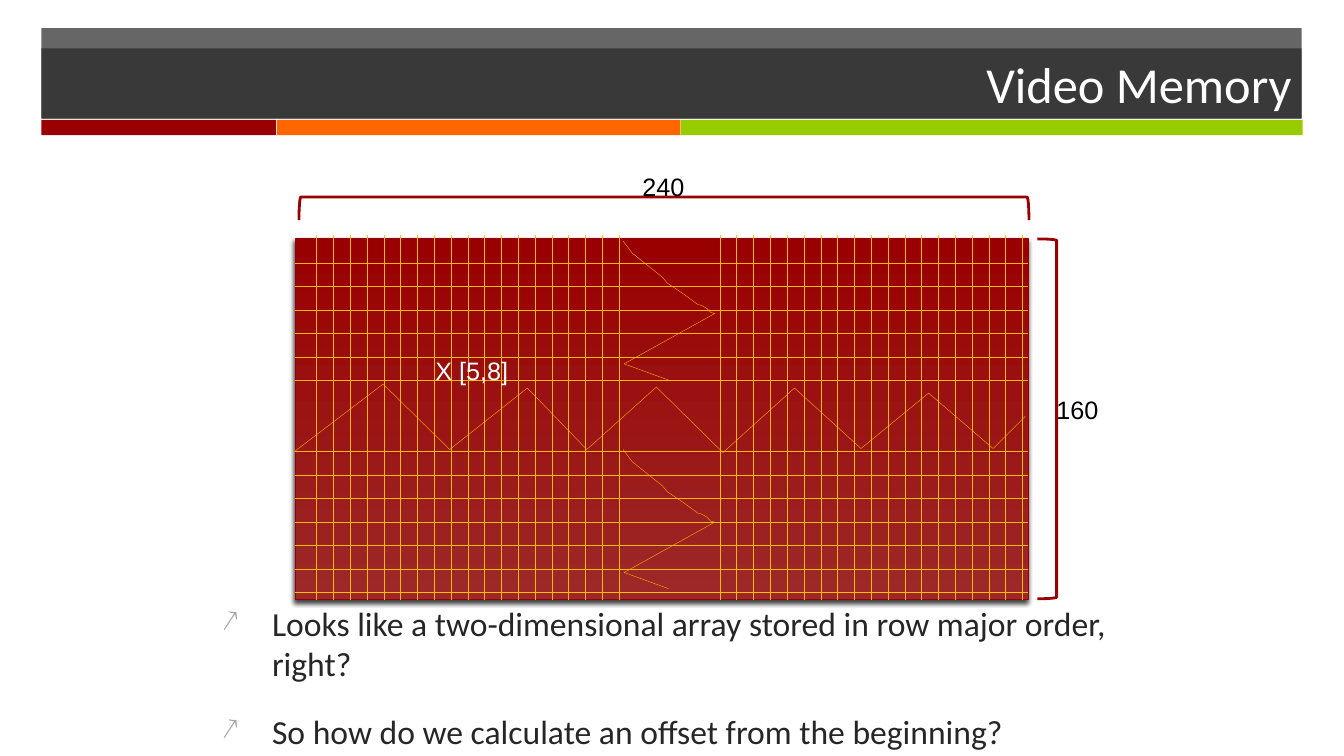
from pptx import Presentation
from pptx.dml.color import RGBColor
from pptx.enum.shapes import MSO_CONNECTOR, MSO_SHAPE
from pptx.enum.text import MSO_ANCHOR, MSO_AUTO_SIZE, PP_ALIGN
from pptx.oxml.ns import qn
from pptx.util import Pt
from lxml import etree

RECT, BRACKET = MSO_SHAPE.RECTANGLE, MSO_SHAPE.LEFT_BRACKET
STRAIGHT = MSO_CONNECTOR.STRAIGHT
LEFT, CENTER, RIGHT = PP_ALIGN.LEFT, PP_ALIGN.CENTER, PP_ALIGN.RIGHT
MIDDLE, TOP = MSO_ANCHOR.MIDDLE, MSO_ANCHOR.TOP
GROW = MSO_AUTO_SIZE.SHAPE_TO_FIT_TEXT

PX = 9144
C = {
    "dark": "262626", "red": "990000", "orange": "FF6600", "green": "99CC00",
    "grid": "FFBA00", "edge": "960000", "fade": "9D2828", "bullet": "A6A6A6",
    "white": "FFFFFF", "black": "000000",
}

TITLE = "Video Memory"
BULLETS = [
    "Looks like a two-dimensional array stored in row major order, right?",
    "So how do we calculate an offset from the beginning?",
]
BANDS = [(41, 28, 1250, 89), (41, 48, 1250, 70)]
STRIPES = [("red", 41, 233), ("orange", 275, 400), ("green", 675, 617)]
MEMORY = (293, 237, 727, 358)
ROWS = [*range(6), *range(8, 15)]
COLUMNS = [*range(19), *range(24, 43)]
BRACKETS = [((1029, 237, 19, 357), 180), ((647, -155, 23, 724), 90)]
LABELS = [
    ("240", (606, 165, 104, 40), "black", CENTER),
    ("X [5,8]", (422, 348, 95, 40), "white", LEFT),
]
HEIGHT_LABEL = ("160", (1038, 386, 104, 40), "black", LEFT)
ROW_BREAK = [
    (292, 448), (380, 381), (446, 446), (523, 385), (582, 446), (651, 384),
    (717, 449), (788, 385), (854, 445), (921, 390), (985, 445), (1017, 413),
]
COLUMN_BREAK = [
    (618, 239), (627, 251), (657, 275), (662, 281), (677, 291), (688, 299),
    (692, 302), (696, 303), (701, 306), (705, 310), (709, 311), (619, 361),
    (663, 377),
]
BREAK_DROP = 207


def rgb(name):
    return RGBColor.from_string(C[name])


def px(*values):
    return [round(v * PX) for v in values]


def add_box(shapes, box, color=None, kind=RECT):
    sp = shapes.add_shape(kind, *px(*box))
    sp.shadow.inherit = False
    sp.line.fill.background()
    if color:
        sp.fill.solid()
        sp.fill.fore_color.rgb = rgb(color)
    else:
        sp.fill.background()
    return sp


def set_line(shape, color, width):
    shape.line.color.rgb = rgb(color)
    shape.line.width = Pt(width)


def add_alpha(parent, percent):
    color = next(parent.iter(qn("a:srgbClr")))
    etree.SubElement(color, qn("a:alpha"), val=str(percent * 1000))


def add_run(p, text, size, font, color):
    r = p.add_run()
    r.text = text
    r.font.size = Pt(size)
    r.font.name = font
    r.font.color.rgb = rgb(color)


def add_label(shapes, text, box, color, align):
    tf = shapes.add_textbox(*px(*box)).text_frame
    tf.word_wrap = True
    tf.auto_size = GROW
    p = tf.paragraphs[0]
    p.alignment = align
    add_run(p, text, 18, "Arial", color)


def add_grid_line(shapes, x1, y1, x2, y2):
    line = shapes.add_connector(STRAIGHT, *px(x1, y1, x2, y2))
    set_line(line, "grid", 0.25)
    etree.SubElement(line._element.spPr, qn("a:effectLst"))


def add_break(shapes, points):
    builder = shapes.build_freeform(*points[0], scale=PX)
    builder.add_line_segments(points[1:], close=False)
    sp = builder.convert_to_shape()
    sp.shadow.inherit = False
    sp.fill.background()
    set_line(sp, "grid", 0.25)


def add_bullet(p):
    pPr = p._p.get_or_add_pPr()
    pPr.set("marL", str(50 * PX))
    pPr.set("indent", str(-50 * PX))
    color = etree.SubElement(pPr, qn("a:buClr"))
    etree.SubElement(color, qn("a:srgbClr"), val=C["bullet"])
    etree.SubElement(pPr, qn("a:buSzPct"), val="90000")
    etree.SubElement(pPr, qn("a:buChar"), char="↗")


def add_header(shapes):
    for box in BANDS:
        band = add_box(shapes, box, "dark")
        add_alpha(band._element.spPr, 70)
    tf = band.text_frame
    tf.word_wrap = True
    tf.vertical_anchor = MIDDLE
    p = tf.paragraphs[0]
    p.alignment = RIGHT
    add_run(p, TITLE, 36, "Calibri", "white")
    stripes = shapes.add_group_shape().shapes
    for color, x, w in STRIPES:
        add_box(stripes, (x, 119, w, 15), color)


def add_body(shapes):
    tf = shapes.add_textbox(*px(210, 593, 983, 170)).text_frame
    tf.word_wrap = True
    tf.vertical_anchor = TOP
    tf.margin_right = 30 * PX
    for i, text in enumerate(BULLETS):
        p = tf.add_paragraph() if i else tf.paragraphs[0]
        p.space_before = Pt(20)
        add_bullet(p)
        add_run(p, text, 24, "Calibri", "dark")


def add_memory(shapes):
    x, y, w, h = MEMORY
    memory = add_box(shapes, MEMORY, "red")
    memory.fill.gradient()
    memory.fill.gradient_angle = 90
    for stop, color in zip(memory.fill.gradient_stops, ("fade", "red")):
        stop.color.rgb = rgb(color)
    set_line(memory, "edge", 1)
    effects = memory._element.spPr.find(qn("a:effectLst"))
    shadow = etree.SubElement(
        effects, qn("a:outerShdw"), blurRad=str(Pt(3)), dist=str(Pt(2)),
        dir=str(110 * 60000), rotWithShape="0")
    etree.SubElement(shadow, qn("a:srgbClr"), val=C["black"])
    add_alpha(shadow, 75)

    for i in ROWS:
        row_y = 261 + i * 70 / 3
        add_grid_line(shapes, x, row_y, x + w, row_y)
    for i in COLUMNS:
        column_x = 314 + i * 100 / 6
        add_grid_line(shapes, column_x, y - 4, column_x, y + h)
    for box, angle in BRACKETS:
        bracket = add_box(shapes, box, kind=BRACKET)
        bracket.rotation = angle
        set_line(bracket, "red", 2)
    for label in LABELS:
        add_label(shapes, *label)
    add_break(shapes, ROW_BREAK)
    for drop in (0, BREAK_DROP):
        add_break(shapes, [(bx, by + drop) for bx, by in COLUMN_BREAK])


def main():
    prs = Presentation()
    prs.slide_width, prs.slide_height = px(1333, 750)
    s = prs.slides.add_slide(prs.slide_layouts[6])
    add_header(s.shapes)
    add_body(s.shapes)
    add_memory(s.shapes.add_group_shape().shapes)
    add_label(s.shapes, *HEIGHT_LABEL)
    prs.save("out.pptx")


if __name__ == "__main__":
    main()
